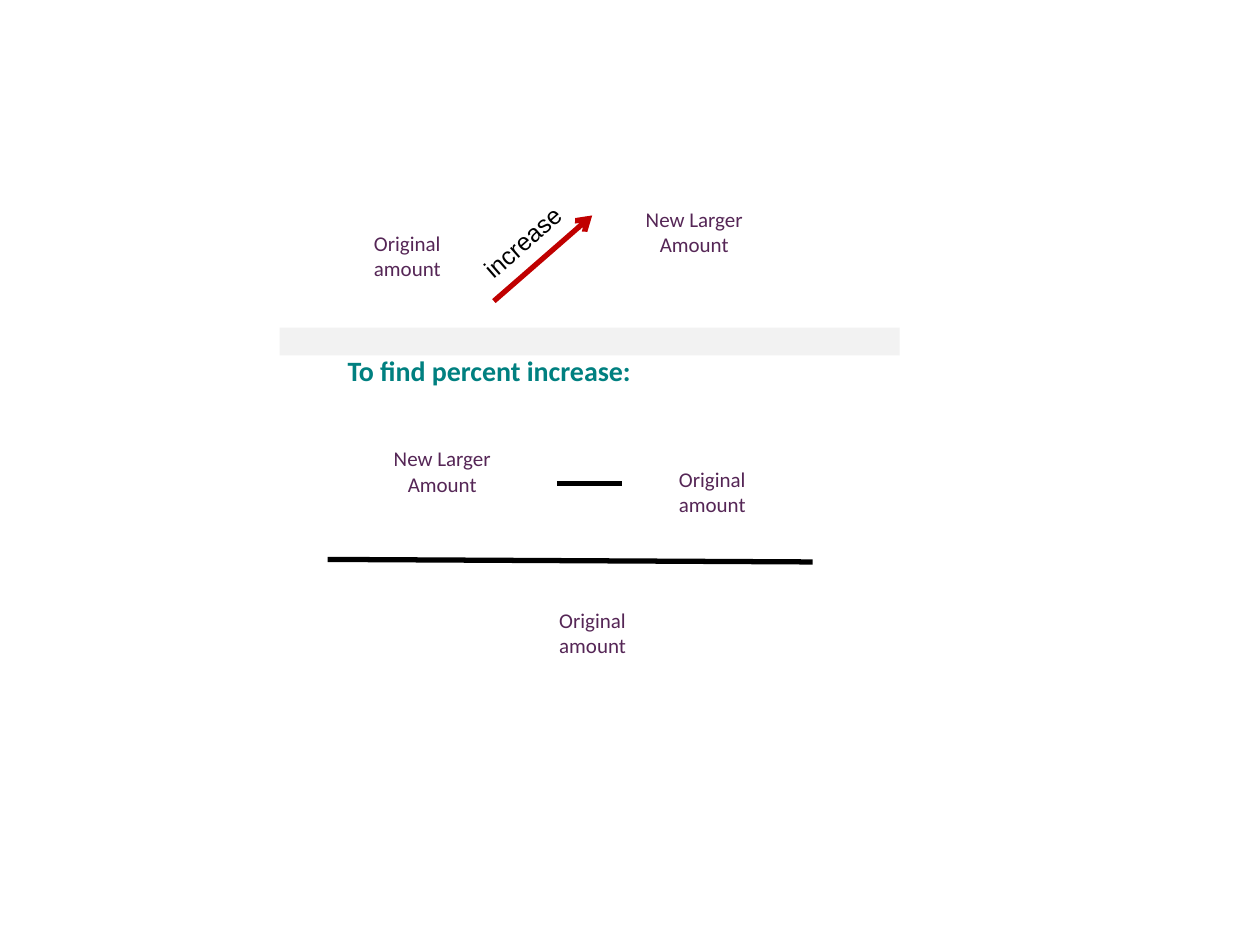
from lxml import etree
from pptx import Presentation
from pptx.dml.color import RGBColor
from pptx.enum.shapes import MSO_CONNECTOR, MSO_SHAPE
from pptx.enum.text import MSO_AUTO_SIZE, PP_ALIGN
from pptx.oxml.ns import qn
from pptx.util import Inches, Pt

BLACK = RGBColor(0x00, 0x00, 0x00)
RED = RGBColor(0xC0, 0x00, 0x00)
PURPLE = RGBColor(0x55, 0x26, 0x56)
TEAL = RGBColor(0x00, 0x80, 0x80)
LIGHT_GRAY = RGBColor(0xF2, 0xF2, 0xF2)

prs = Presentation()
prs.slide_width, prs.slide_height = Inches(10), Inches(7.5)
s = prs.slides.add_slide(prs.slide_layouts[6])


def add_line(x1, y1, x2, y2, color):
    line = s.shapes.add_connector(
        MSO_CONNECTOR.STRAIGHT, Inches(x1), Inches(y1), Inches(x2), Inches(y2))
    line.line.color.rgb = color
    line.line.width = Pt(3)
    etree.SubElement(line._element.spPr, qn("a:effectLst"))
    return line


def add_text(x, y, w, h, lines, size, font, color, align=PP_ALIGN.LEFT,
             bold=False, wrap=False):
    """Add a text box with one paragraph for each item of lines."""
    box = s.shapes.add_textbox(Inches(x), Inches(y), Inches(w), Inches(h))
    tf = box.text_frame
    tf.word_wrap = wrap
    tf.auto_size = MSO_AUTO_SIZE.SHAPE_TO_FIT_TEXT
    for i, line in enumerate(lines):
        p = tf.add_paragraph() if i else tf.paragraphs[0]
        p.alignment = align
        r = p.add_run()
        r.text = line
        r.font.name = font
        r.font.size = Pt(size)
        r.font.bold = bold
        r.font.color.rgb = color
    return box


# Fraction bar, minus sign and increase arrow
add_line(2.6, 4.44, 6.45, 4.46, BLACK)
add_line(4.42, 3.84, 4.94, 3.84, BLACK)
arrow = add_line(3.92, 2.39, 4.7, 1.71, RED)
etree.SubElement(arrow.line._get_or_add_ln(), qn("a:tailEnd"), type="arrow")

increase = add_text(3.68, 1.75, 0.94, 0.34, ["increase"], 14, "Arial", BLACK)
increase.rotation = 318.8

# Amounts in the diagram and in the fraction
for x, y in [(2.87, 1.78), (5.29, 3.65), (4.34, 4.77)]:
    add_text(x, y, 0.74, 0.5, ["Original", "amount"], 12, "Calibri", PURPLE)
for x, y in [(5.02, 1.59), (3.02, 3.49)]:
    add_text(x, y, 0.98, 0.5, ["New Larger", "Amount"], 12, "Calibri", PURPLE,
             align=PP_ALIGN.CENTER)

add_text(2.66, 2.76, 3.82, 0.37, ["To find percent increase:"], 16, "Calibri",
         TEAL, bold=True, wrap=True)

divider = s.shapes.add_shape(
    MSO_SHAPE.RECTANGLE, Inches(2.22), Inches(2.6), Inches(4.92), Inches(0.22))
divider.shadow.inherit = False
divider.fill.solid()
divider.fill.fore_color.rgb = LIGHT_GRAY
divider.line.fill.background()

prs.save("out.pptx")
